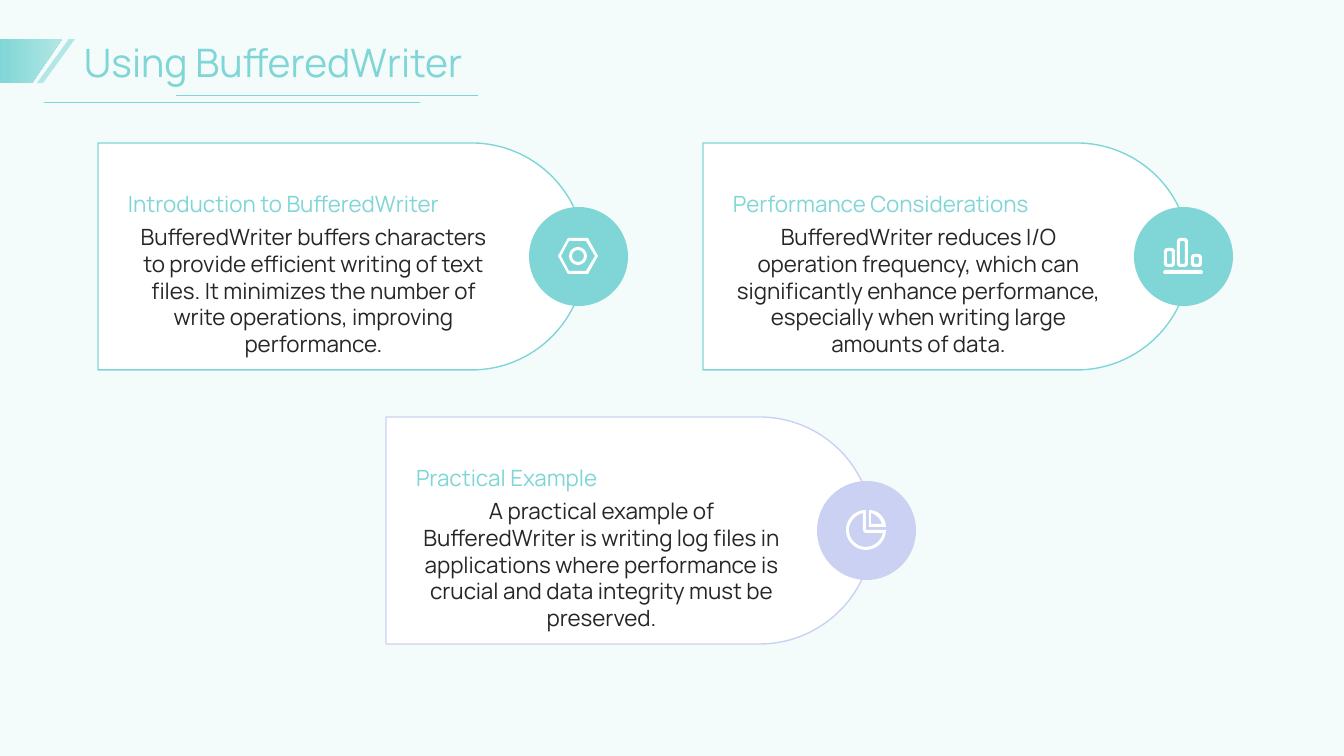
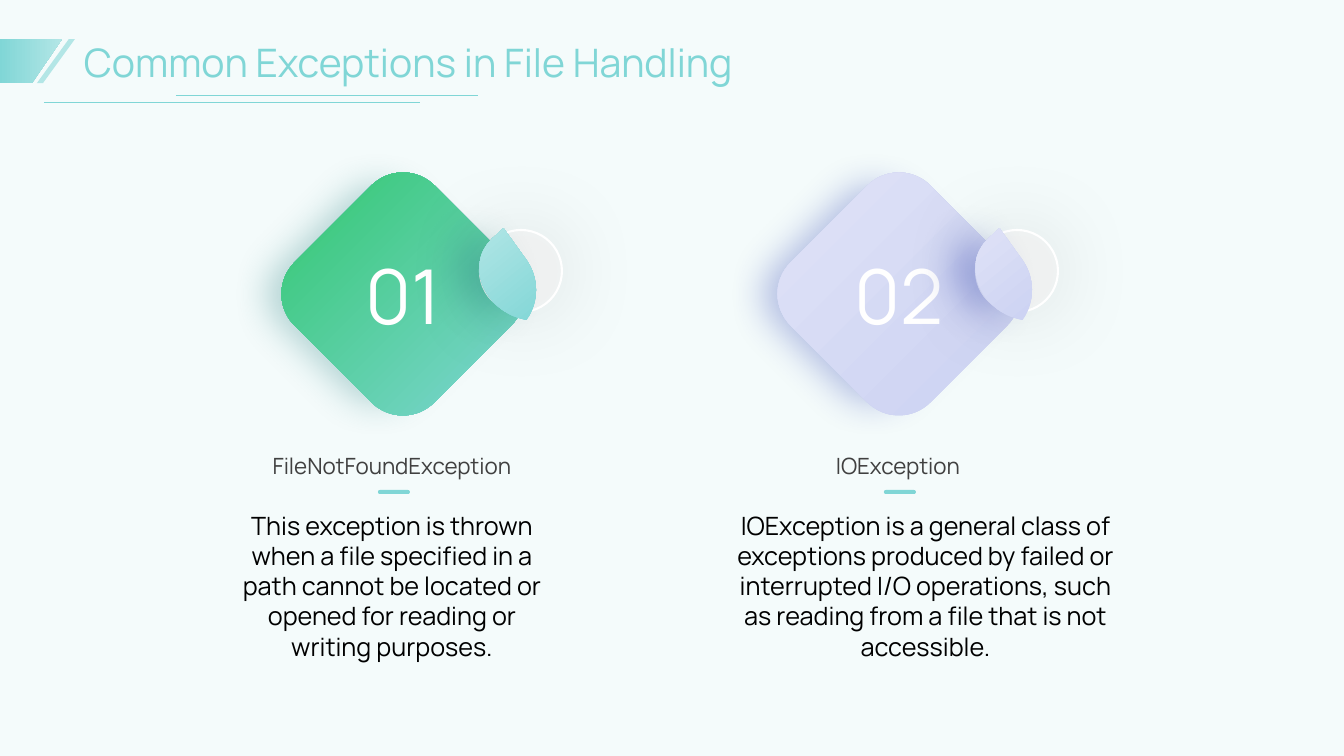
import lxml.etree
import pptx
import pptx.dml.color
import pptx.enum.shapes
import pptx.enum.text
import pptx.oxml.ns
import pptx.util

SHAPE = pptx.enum.shapes.MSO_SHAPE
ALIGN = pptx.enum.text.PP_ALIGN
ANCHOR = pptx.enum.text.MSO_ANCHOR

EMU_PER_PX = 914400 / 100.8
SLIDE_W, SLIDE_H = 1344, 756
FONT = "Manrope"
MIST = "E6F7F7"
TEAL = "80D6D6"
PALE_TEAL = "B3E6E6"
GREEN = "31C76E"
LILAC = "CBD1F2"
PALE_LILAC = "E0E3F7"
WHITE = "FFFFFF"


def px(length):
    return pptx.util.Emu(round(length * EMU_PER_PX))


def rgb(hex_color):
    return pptx.dml.color.RGBColor.from_string(hex_color)


def sub(parent, tag, **attributes):
    child = lxml.etree.SubElement(parent, pptx.oxml.ns.qn(tag))
    for key, value in attributes.items():
        child.set(key, str(value))
    return child


def paint(shape, fill, line=None, width=1, opacity=None):
    """Give a shape a flat or (start, end, angle) gradient fill and an outline."""
    shape.shadow.inherit = False
    if isinstance(fill, str):
        shape.fill.solid()
        shape.fill.fore_color.rgb = rgb(fill)
    else:
        *stops, angle = fill
        shape.fill.gradient()
        shape.fill.gradient_angle = angle
        for stop, color in zip(shape.fill.gradient_stops, stops):
            stop.color.rgb = rgb(color)
    if opacity:
        tint = shape._element.spPr.find(".//" + pptx.oxml.ns.qn("a:srgbClr"))
        sub(tint, "a:alpha", val=opacity * 1000)
    if line:
        shape.line.color.rgb = rgb(line)
        shape.line.width = pptx.util.Pt(width)
    else:
        shape.line.fill.background()
    return shape


def add_shape(slide, kind, x, y, w, h, **style):
    shape = slide.shapes.add_shape(kind, px(x), px(y), px(w), px(h))
    return paint(shape, **style)


def add_outline(slide, contours, x, y, **style):
    """Draw closed contours of points and (control, control, end) curves around (x, y)."""
    def place(point):
        return px(x + point[0]), px(y + point[1])

    builder = slide.shapes.build_freeform(*place(contours[0][0]))
    curve_flags = []
    for index, (start, *segments) in enumerate(contours):
        if index:
            builder.move_to(*place(start))
        vertices = []
        for segment in segments:
            is_curve = len(segment) == 3
            curve_flags.append(is_curve)
            vertices += segment if is_curve else [segment]
        builder.add_line_segments([place(vertex) for vertex in vertices], close=True)
    shape = builder.convert_to_shape()

    lines = iter(list(shape._element.iter(pptx.oxml.ns.qn("a:lnTo"))))
    for is_curve in curve_flags:
        line = next(lines)
        if is_curve:
            bezier = lxml.etree.Element(pptx.oxml.ns.qn("a:cubicBezTo"))
            line.addprevious(bezier)
            for vertex in (line, next(lines), next(lines)):
                bezier.append(vertex[0])
                vertex.getparent().remove(vertex)
    return paint(shape, **style)


def arc(start, corner, end):
    """Return a quarter-ellipse curve that bends towards the corner."""
    def pull(point):
        return tuple(p + 0.55 * (c - p) for p, c in zip(point, corner))

    return pull(start), pull(end), end


def round_box(left, top, right, bottom, radius):
    contour = [(left + radius, top)]
    for cx, cy, sx, sy in ((right, top, -1, 1), (right, bottom, -1, -1),
                           (left, bottom, 1, -1), (left, top, 1, 1)):
        beside, below = (cx + sx * radius, cy), (cx, cy + sy * radius)
        before, after = (beside, below) if sx * sy < 0 else (below, beside)
        if before != contour[-1][-1]:
            contour.append(before)
        contour.append(arc(before, (cx, cy), after))
    return contour


def cast_shadow(shape, color, alpha, blur, distance=0, angle=0, scale=100):
    effects = shape._element.spPr.find(pptx.oxml.ns.qn("a:effectLst"))
    shadow = sub(effects, "a:outerShdw", blurRad=pptx.util.Pt(blur),
                 dist=pptx.util.Pt(distance), dir=angle * 60000,
                 sx=scale * 1000, sy=scale * 1000, algn="ctr", rotWithShape=0)
    sub(sub(shadow, "a:srgbClr", val=color), "a:alpha", val=alpha * 1000)


def write(frame, text, size, color, align=ALIGN.LEFT, anchor=ANCHOR.TOP):
    frame.word_wrap = True
    frame.vertical_anchor = anchor
    paragraph = frame.paragraphs[0]
    paragraph.alignment = align
    run = paragraph.add_run()
    run.text = text
    run.font.size = pptx.util.Pt(size)
    run.font.name = FONT
    run.font.color.rgb = rgb(color)


def add_text(slide, x, y, w, h, text, size, color, inset=(0, 0), **layout):
    frame = slide.shapes.add_textbox(px(x), px(y), px(w), px(h)).text_frame
    frame.margin_left = frame.margin_right = px(inset[0])
    frame.margin_top = frame.margin_bottom = px(inset[1])
    write(frame, text, size, color, **layout)


def add_rule(slide, x1, x2, y):
    rule = slide.shapes.add_connector(
        pptx.enum.shapes.MSO_CONNECTOR.STRAIGHT, px(x1), px(y), px(x2), px(y))
    rule.line.color.rgb = rgb(TEAL)
    rule.line.width = pptx.util.Pt(0.5)
    sub(rule._element.spPr, "a:effectLst")


def titled_slide(prs, title):
    slide = prs.slides.add_slide(prs.slide_layouts[6])
    add_shape(slide, SHAPE.RECTANGLE, 0, 0, SLIDE_W, SLIDE_H, fill=MIST, opacity=43)
    add_text(slide, 84, 36, 1185, 51, title, 28, TEAL, anchor=ANCHOR.MIDDLE)
    stripe = add_shape(slide, SHAPE.PARALLELOGRAM, 37, 39, 38, 44, fill=PALE_TEAL)
    stripe.adjustments[0] = 0.84
    add_outline(slide, [[(0, 0), (62, 0), (32, 44), (0, 44)]], 0, 39,
                fill=(TEAL, PALE_TEAL, 0))
    add_rule(slide, 44, 420, 102)
    add_rule(slide, 176, 478, 95)
    return slide


def nut_icon():
    outer = [(-10, -18), (10, -18), (20, 0), (10, 18), (-10, 18), (-20, 0)]
    inner = [(-9, -15), (8, -15), (17, 0), (8, 15), (-9, 15), (-17, 0)]
    return [outer, inner, round_box(-9, -9, 9, 9, 9), round_box(-6, -6, 6, 6, 6)]


def bars_icon():
    contours = [round_box(-20, 14, 20, 18, 2)]
    for left, top in ((-19, -8), (-6, -18), (8, -2)):
        contours.append(round_box(left, top, left + 11, 11, 3))
        contours.append(round_box(left + 3, top + 3, left + 8, 8, 1))
    return contours


def pie_icon():
    rim = [(0, -20), (0, 0), (20, 0), arc((20, 0), (20, 20), (0, 20)),
           arc((0, 20), (-20, 20), (-20, 0)), arc((-20, 0), (-20, -20), (0, -20))]
    hollow = [(-3, -17), arc((-3, -17), (-17, -14), (-17, 0)),
              arc((-17, 0), (-17, 17), (0, 17)), arc((0, 17), (14, 17), (17, 3)),
              (0, 3), arc((0, 3), (-3, 3), (-3, 0))]
    wedge = [(3, -20), arc((3, -20), (20, -20), (20, -3)), (3, -3)]
    wedge_hollow = [(5, -17), (5, -6), (16, -6), arc((16, -6), (14, -15), (5, -17))]
    return [rim, hollow, wedge, wedge_hollow]


def topic_card(slide, x, y, accent, icon, heading, body):
    w, h, disc = 487, 227, 99
    turn = (w - h) / 2
    panel = add_shape(slide, SHAPE.ROUND_2_SAME_RECTANGLE, x + turn, y - turn, h, w,
                      fill=WHITE, line=accent)
    panel.adjustments[0] = 0.5
    panel.adjustments[1] = 0
    panel.rotation = 90
    add_shape(slide, SHAPE.FLOWCHART_CONNECTOR, x + 431, y + (h - disc) / 2, disc, disc,
              fill=accent)
    add_text(slide, x + 30, y + 80, 371, 136, body, 16, "262626", align=ALIGN.CENTER)
    add_text(slide, x + 30, y + 6, 371, 68, heading, 16, TEAL, anchor=ANCHOR.BOTTOM)
    add_outline(slide, icon, x + 480, y + 113, fill=WHITE)


def diamond():
    side = [(108, -32), ((126, -14), (126, 14), (108, 32))]
    contour = []
    for _ in range(4):
        contour += side
        (x, y), bend = side
        side = [(-y, x), tuple((-dy, dx) for dx, dy in bend)]
    return [contour]


def leaf():
    return [[(222, 62), (223, 63), (246, 89),
             ((263, 107), (265, 132), (254, 151)), (253, 151),
             ((223, 148), (200, 124), (202, 96)),
             ((203, 86), (208, 77), (215, 70))]]


def number_badge(slide, x, y, number, diamond_colors, leaf_colors, shadow_color):
    tile = add_outline(slide, diamond(), x + 126, y + 127, fill=(*diamond_colors, 135))
    cast_shadow(tile, shadow_color, 32, 26, 19, 180, scale=90)
    write(tile.text_frame, number, 54, WHITE, ALIGN.CENTER, ANCHOR.MIDDLE)

    ring = add_shape(slide, SHAPE.OVAL, x + 203, y + 63, 82, 82,
                     fill="F2F2F2", opacity=70, line=WHITE, width=1.5)
    cast_shadow(ring, "000000", 15, 62)

    petal = add_outline(slide, leaf(), x, y, fill=(*leaf_colors, 135))
    petal.rotation = 5.6
    cast_shadow(petal, shadow_color, 32, 26, 19, 180, scale=90)


def exception_text(slide, x, y, body_width, heading, body):
    accent = add_shape(slide, SHAPE.ROUNDED_RECTANGLE, x + 157, y + 70, 32, 4, fill=TEAL)
    accent.adjustments[0] = 0.5
    add_text(slide, x, y, 342, 63, heading, 16, "404040", inset=(7, 4),
             align=ALIGN.CENTER, anchor=ANCHOR.BOTTOM)
    add_text(slide, x, y + 85, body_width, 190, body, 18, "000000", inset=(10, 5),
             align=ALIGN.CENTER)


def writer_slide(prs):
    slide = titled_slide(prs, "Using BufferedWriter")
    topic_card(slide, 98, 143, TEAL, nut_icon(), "Introduction to BufferedWriter",
               "BufferedWriter buffers characters to provide efficient writing of text "
               "files. It minimizes the number of write operations, improving performance.")
    topic_card(slide, 703, 143, TEAL, bars_icon(), "Performance Considerations",
               "BufferedWriter reduces I/O operation frequency, which can significantly "
               "enhance performance, especially when writing large amounts of data.")
    topic_card(slide, 386, 417, LILAC, pie_icon(), "Practical Example",
               "A practical example of BufferedWriter is writing log files in applications "
               "where performance is crucial and data integrity must be preserved.")


def exceptions_slide(prs):
    slide = titled_slide(prs, "Common Exceptions in File Handling")
    exception_text(slide, 221, 420, 342, "FileNotFoundException",
                   "This exception is thrown when a file specified in a path cannot be "
                   "located or opened for reading or writing purposes.")
    exception_text(slide, 727, 420, 397, "IOException",
                   "IOException is a general class of exceptions produced by failed or "
                   "interrupted I/O operations, such as reading from a file that is not "
                   "accessible.")
    number_badge(slide, 277, 167, "01", (TEAL, GREEN), (TEAL, PALE_TEAL), "2A8181")
    number_badge(slide, 773, 167, "02", (LILAC, PALE_LILAC), (LILAC, PALE_LILAC), "2D41B2")


def main():
    prs = pptx.Presentation()
    prs.slide_width, prs.slide_height = px(SLIDE_W), px(SLIDE_H)
    writer_slide(prs)
    exceptions_slide(prs)
    prs.save("out.pptx")


if __name__ == "__main__":
    main()
